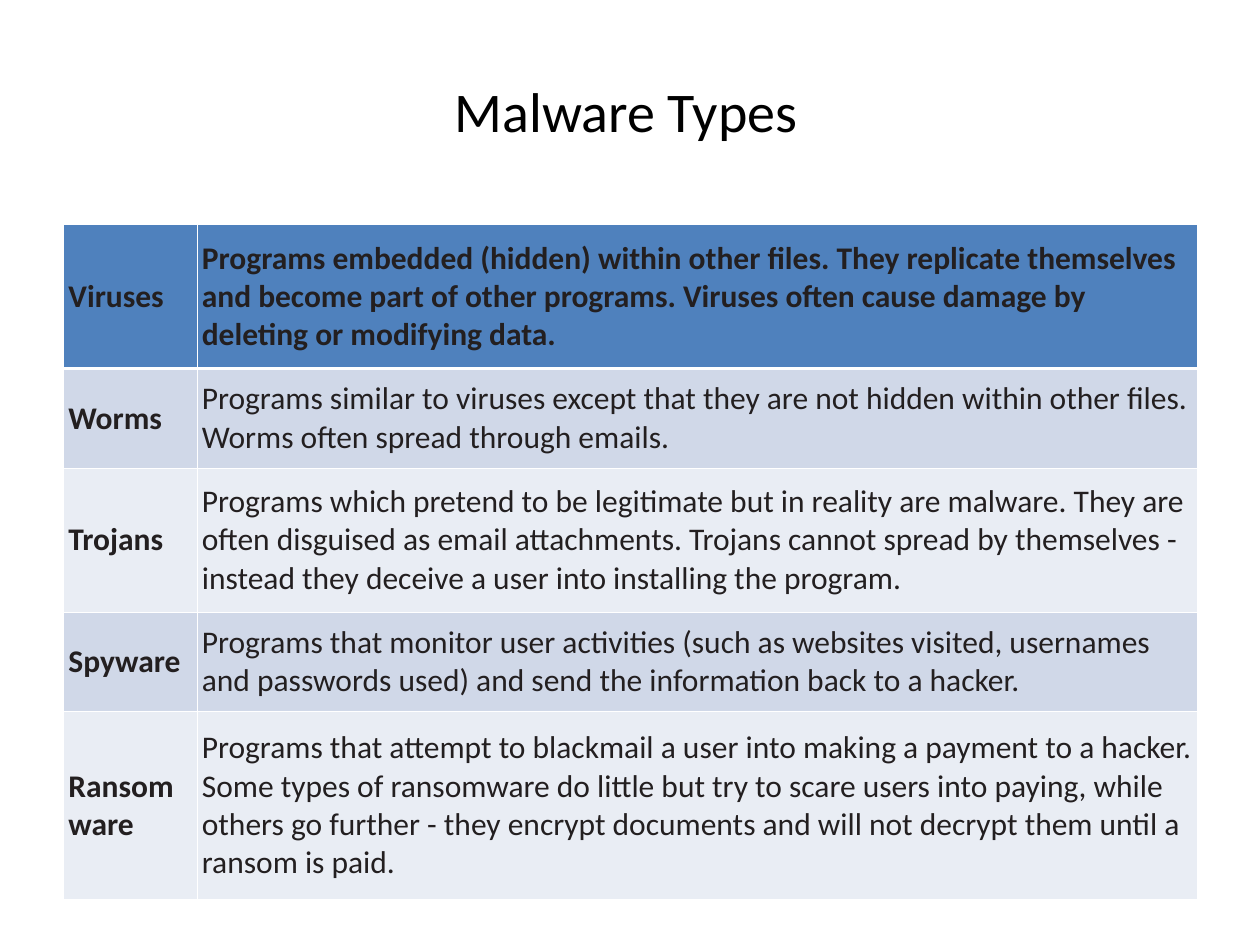
from lxml import etree
from pptx import Presentation
from pptx.dml.color import RGBColor
from pptx.enum.text import MSO_ANCHOR
from pptx.oxml.ns import qn
from pptx.util import Cm, Pt

MIDDLE = MSO_ANCHOR.MIDDLE
FONT = "Calibri"
WHITE, BLACK, INK = "FFFFFF", "000000", "231F20"
HEAD, BANDS = "4F81BD", ("D0D8E8", "E9EDF4")
THIN, THICK = 0.45, 1.47

TITLE = "Malware Types"
ROWS = [  # name, meaning, height in cm
    ("Viruses", "Programs embedded (hidden) within other files. They replicate "
     "themselves and become part of other programs. Viruses often cause damage "
     "by deleting or modifying data.", 2.9),
    ("Worms", "Programs similar to viruses except that they are not hidden within "
     "other files. Worms often spread through emails.", 2.01),
    ("Trojans", "Programs which pretend to be legitimate but in reality are malware. "
     "They are often disguised as email attachments. Trojans cannot spread by "
     "themselves - instead they deceive a user into installing the program.", 2.9),
    ("Spyware", "Programs that monitor user activities (such as websites visited, "
     "usernames and passwords used) and send the information back to a hacker.", 2.01),
    ("Ransomware", "Programs that attempt to blackmail a user into making a payment "
     "to a hacker. Some types of ransomware do little but try to scare users into "
     "paying, while others go further - they encrypt documents and will not decrypt "
     "them until a ransom is paid.", 3.78),
]
WIDTHS = (2.69, 20.17)


def color(code):
    return RGBColor.from_string(code)


def style(frame, size, code, bold=False):
    for para in frame.paragraphs:
        for run in para.runs:
            font = run.font
            font.name, font.size, font.bold = FONT, Pt(size), bold
            font.color.rgb = color(code)


def border(cell, side, width):
    props = cell._tc.get_or_add_tcPr()
    line = etree.SubElement(props, qn("a:ln" + side), w=str(Pt(width)))
    fill = etree.SubElement(line, qn("a:solidFill"))
    etree.SubElement(fill, qn("a:srgbClr"), val=WHITE)


def fill_cell(cell, text, row, bold):
    cell.text_frame.text = text
    style(cell.text_frame, 18, INK, bold)
    cell.vertical_anchor = MIDDLE
    cell.margin_left = cell.margin_right = Cm(0.1)
    cell.margin_top = cell.margin_bottom = Cm(0.13)
    thick = {"T": row == 1, "B": row == 0}
    for side in "LRTB":
        border(cell, side, THICK if thick.get(side) else THIN)
    cell.fill.solid()
    cell.fill.fore_color.rgb = color(BANDS[(row - 1) % 2] if row else HEAD)


def main():
    deck = Presentation()
    deck.slide_width, deck.slide_height = Cm(25.4), Cm(19.05)
    slide = deck.slides.add_slide(deck.slide_layouts[6])

    high = sum(row[2] for row in ROWS)
    table = slide.shapes.add_table(len(ROWS), len(WIDTHS), Cm(1.28), Cm(4.53),
                                   Cm(sum(WIDTHS)), Cm(high)).table
    for col, width in zip(table.columns, WIDTHS):
        col.width = Cm(width)
    for i, (name, text, height) in enumerate(ROWS):
        table.rows[i].height = Cm(height)
        fill_cell(table.cell(i, 0), name, i, True)
        fill_cell(table.cell(i, 1), text, i, i == 0)

    title = slide.shapes.add_textbox(Cm(8.92), Cm(1.42), Cm(8.13), Cm(1.63))
    title.text_frame.word_wrap = True
    title.text_frame.text = TITLE
    style(title.text_frame, 32, BLACK)
    deck.save("out.pptx")


if __name__ == "__main__":
    main()
